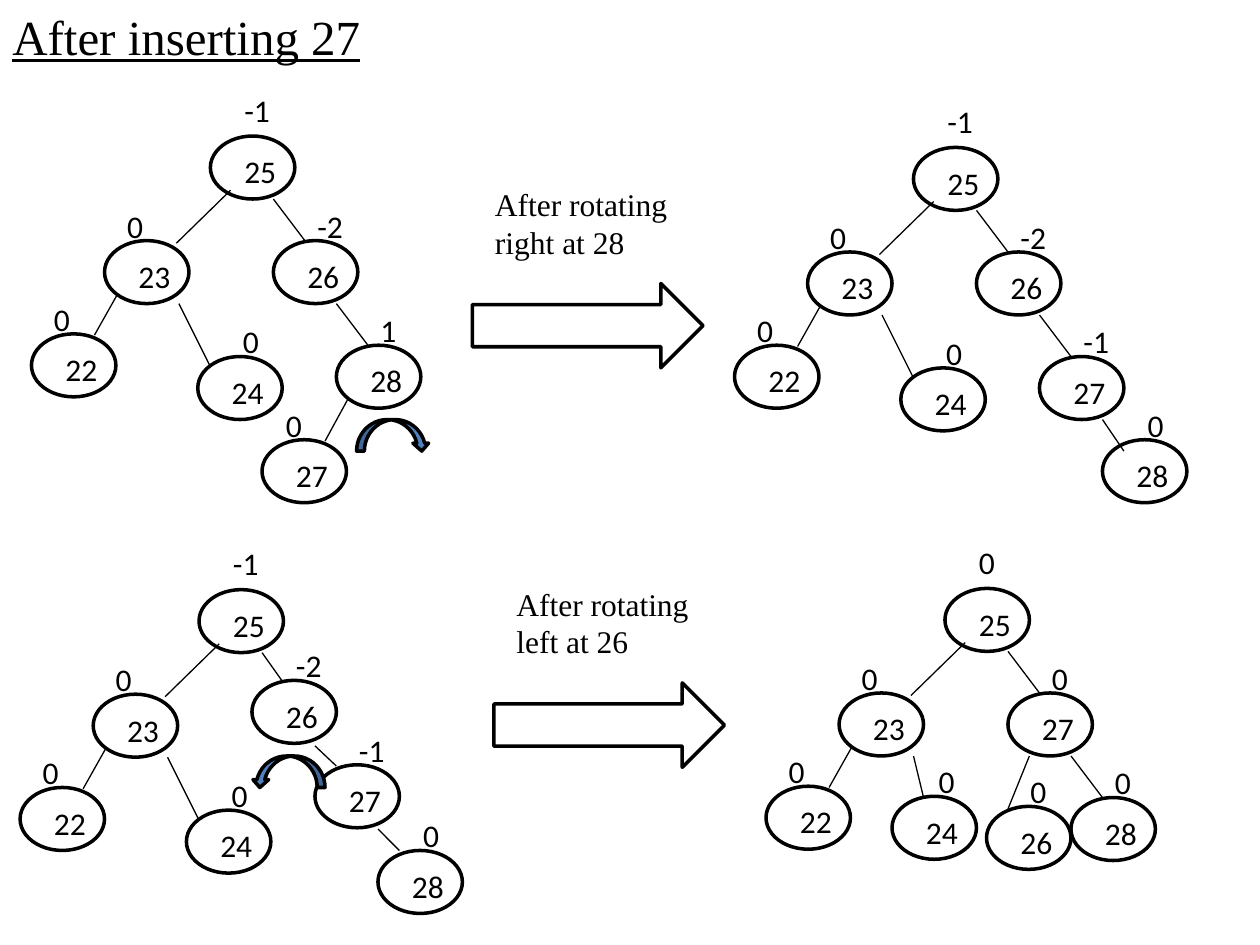
from pptx import Presentation
from pptx.dml.color import RGBColor
from pptx.enum.shapes import MSO_CONNECTOR, MSO_SHAPE
from pptx.enum.text import MSO_AUTO_SIZE
from pptx.oxml import parse_xml
from pptx.oxml.ns import nsdecls
from pptx.util import Inches, Pt

COLORS = {name: RGBColor.from_string(value) for name, value in {
    "black": "000000", "white": "FFFFFF", "blue": "4F81BD"}.items()}

presentation = Presentation()
presentation.slide_width = Inches(10)
presentation.slide_height = Inches(7.5)
slide = presentation.slides.add_slide(presentation.slide_layouts[6])


def add_text(text, left, top, width, height, font_name="Calibri", size=18):
    box = slide.shapes.add_textbox(Inches(left), Inches(top), Inches(width), Inches(height))
    box.text_frame.word_wrap = True
    paragraph = box.text_frame.paragraphs[0]
    paragraph.text = text
    paragraph.font.name = font_name
    paragraph.font.size = Pt(size)
    paragraph.font.color.rgb = COLORS["black"]
    return box


def add_outlined(kind, left, top, width, height, fill=None):
    shape = slide.shapes.add_shape(kind, Inches(left), Inches(top), Inches(width), Inches(height))
    shape.shadow.inherit = False
    if fill:
        shape.fill.solid()
        shape.fill.fore_color.rgb = COLORS[fill]
    else:
        shape.fill.background()
    shape.line.color.rgb = COLORS["black"]
    shape.line.width = Pt(2)
    return shape


title = add_text("After inserting 27", 0, 0, 10, 7.5, "Times New Roman", 28)
title.text_frame.paragraphs[0].font.underline = True
title.text_frame.paragraphs[0].space_before = Pt(3.5)

# Node: key, balance, offset from the root, balance shift, edge start and end
left_branch = [
    ("23", "0", (-0.84, 0.83), 0.08, (-0.27, 0.85, 0.16, 0.43)),
    ("22", "0", (-1.42, 1.57), 0.08, (-0.92, 1.58, -0.74, 1.26)),
]
node_24 = ("24", "0", (-0.1, 1.75), 0.26, (0, 1.83, -0.25, 1.33))
right_child = ((0.5, 0.83), 0.25, (0.5, 0.5, 0.75, 0.83))
right_grandchild = ((1, 1.66), 0.25, (1, 1.33, 1.25, 1.66))

trees = [
    (1.67, 1.08, "-1", [
        node_24,
        ("26", "-2", *right_child),
        ("28", "1", *right_grandchild),
        ("27", "0", (0.41, 2.41), 0.09, (0.91, 2.42, 1.09, 2.09)),
    ]),
    (7.25, 1.17, "-1", [
        node_24,
        ("26", "-2", *right_child),
        ("27", "-1", *right_grandchild),
        ("28", "0", (1.5, 2.32), 0.26, (1.67, 2.41, 1.5, 2.16)),
    ]),
    (1.58, 4.68, "-1", [
        node_24,
        ("26", "-2", (0.42, 0.72), 0.25, (0.5, 0.5, 0.67, 0.74)),
        ("27", "-1", (0.92, 1.39), 0.25, (0.92, 1.24, 1.09, 1.4)),
        ("28", "0", (1.42, 2.07), 0.26, (1.59, 2.07, 1.42, 1.9)),
    ]),
    (7.5, 4.67, "0", [
        ("24", "0", (-0.42, 1.65), 0.27, (-0.17, 1.66, -0.25, 1.33)),
        ("27", "0", *right_child),
        ("28", "0", *right_grandchild),
        ("26", "0", (0.33, 1.73), 0.25, (0.5, 1.75, 0.67, 1.33)),
    ]),
]

for root_left, root_top, root_balance, branches in trees:
    root = ("25", root_balance, (0, 0), 0.17, None)
    for key, balance, (across, down), balance_shift, edge in [root, *left_branch, *branches]:
        left, top = root_left + across, root_top + down
        balance_lift = 0.32 if edge else 0.41
        add_outlined(MSO_SHAPE.OVAL, left, top, 0.67, 0.5, "white")
        labels = [
            add_text(key, left + 0.17, top + 0.08, 0.58, 0.4),
            add_text(balance, left + balance_shift, top - balance_lift, 0.42, 0.4),
        ]
        for label in labels:
            label.text_frame.auto_size = MSO_AUTO_SIZE.SHAPE_TO_FIT_TEXT
        if edge:
            start_x, start_y, end_x, end_y = edge
            connector = slide.shapes.add_connector(
                MSO_CONNECTOR.STRAIGHT,
                Inches(root_left + start_x), Inches(root_top + start_y),
                Inches(root_left + end_x), Inches(root_top + end_y))
            connector.line.color.rgb = COLORS["black"]
            connector.line.width = Pt(0.75)
            connector._element.spPr.append(parse_xml(f"<a:effectLst {nsdecls('a')}/>"))

steps = [
    ("After rotating right at 28", 3.75, 2.25, 2.83, 3.33, False),
    ("After rotating left at 26", 3.92, 5.42, 2, 6, True),
]
for caption, left, top, turn_left, turn_top, mirrored in steps:
    turn = add_outlined(MSO_SHAPE.CURVED_DOWN_ARROW, turn_left, turn_top, 0.58, 0.25, "blue")
    if mirrored:
        turn._element.spPr.xfrm.set("flipH", "1")
    add_outlined(MSO_SHAPE.RIGHT_ARROW, left, top, 1.83, 0.67)
    caption_box = add_text(caption, left + 0.08, top - 0.83, 1.58, 0.71, "Times New Roman")
    caption_box.text_frame.auto_size = MSO_AUTO_SIZE.SHAPE_TO_FIT_TEXT

presentation.save("out.pptx")
